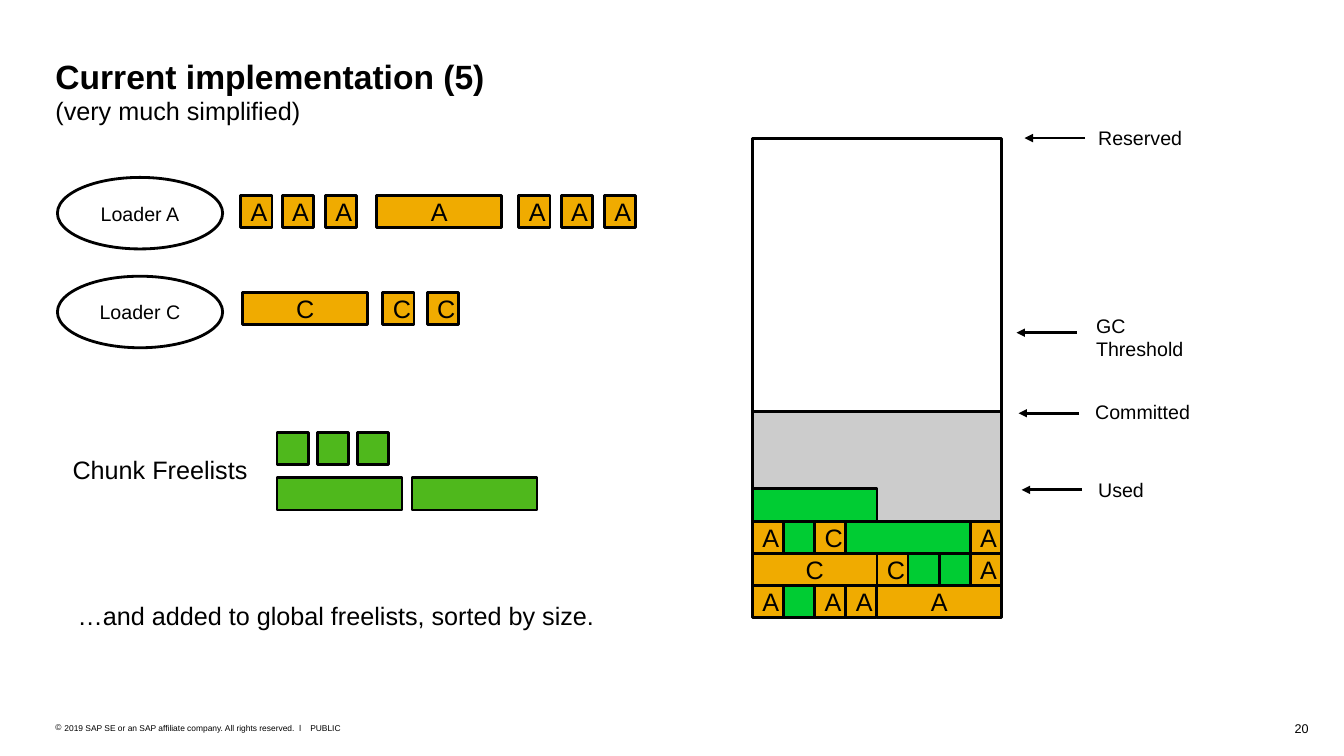
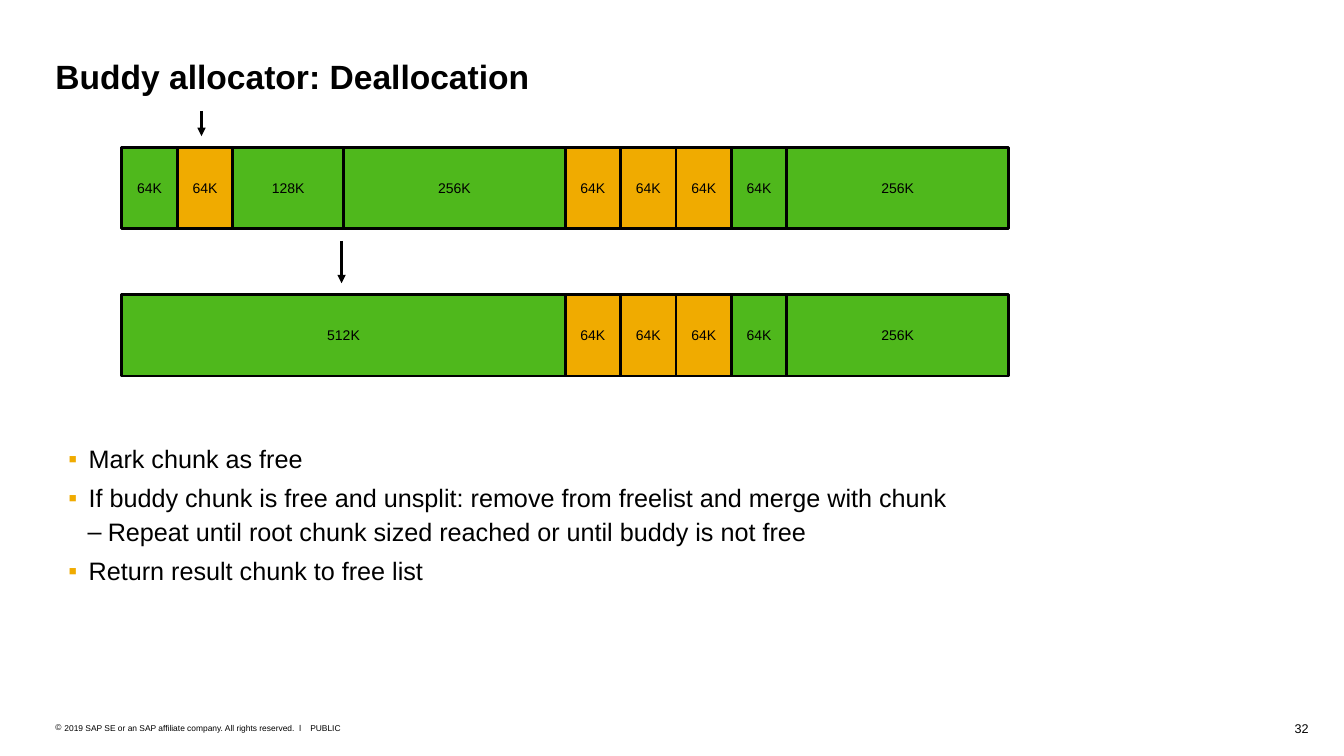
"""Build two slides on metaspace chunk lists and buddy deallocation."""
from dataclasses import dataclass
from typing import Optional

from lxml.etree import SubElement
from pptx import Presentation
from pptx.dml.color import RGBColor
from pptx.enum.shapes import MSO_CONNECTOR, MSO_SHAPE
from pptx.enum.text import MSO_ANCHOR as Anchor, MSO_AUTO_SIZE as AutoSize, PP_ALIGN as Align
from pptx.oxml.ns import qn
from pptx.slide import Slide
from pptx.text.text import TextFrame, _Paragraph as Paragraph
from pptx.util import Inches, Pt

BLACK = RGBColor(0x00, 0x00, 0x00)
AMBER = RGBColor(0xF0, 0xAB, 0x00)
GREEN = RGBColor(0x4F, 0xB8, 0x1C)
BRIGHT_GREEN = RGBColor(0x00, 0xCC, 0x33)
GREY = RGBColor(0xCC, 0xCC, 0xCC)
FONT = "Arial"
LINE_WIDTH = Pt(2)
MARGIN = 0.55
CHUNK_HEIGHT = 0.32
CHUNK_UNIT = 0.31
HEAP_LEFT, HEAP_TOP, HEAP_WIDTH, HEAP_BOTTOM = 7.47, 1.37, 2.47, 6.12
HEAP_UNITS = 8
COMMITTED_TOP, USED_TOP = 4.08, 4.85
BUDDY_LEFT, BUDDY_HEIGHT, BUDDY_UNIT, BUDDY_UNIT_SIZE = 1.21, 0.81, 0.55, 64


@dataclass(frozen=True)
class Box:
    """Position and size in inches."""
    left: float
    top: float
    width: float
    height: float


@dataclass(frozen=True)
class Chunk:
    """Memory chunk with its owner (blank when free) and size in units."""
    owner: str = ""
    units: int = 1


@dataclass(frozen=True)
class ListedChunk:
    """Chunk drawn in a loader list or freelist."""
    left: float
    top: float
    chunk: Chunk


@dataclass(frozen=True)
class Marker:
    """Labelled arrow pointing at a heap level."""
    text: str
    arrow_tip: float
    level: float
    label_left: float
    label_top: float


@dataclass(frozen=True)
class Buddy:
    """Buddy block with its size in kilobytes."""
    kilobytes: int
    free: bool


@dataclass(frozen=True)
class Bullet:
    """Bullet sign with its colour and text indent in inches."""
    sign: str
    color: RGBColor
    indent: float
    hanging: float
    space: float = 0


@dataclass(frozen=True)
class Point:
    """Bulleted statement."""
    text: str
    bullet: Bullet


COPYRIGHT_SIGN = Bullet("©", BLACK, 0.09, 0.09)
MAIN = Bullet("▪", AMBER, 0.2, 0.2, 6)
SUB = Bullet("–", BLACK, 0.39, 0.2, 3)

LOADERS = {"Loader A": 1.76, "Loader C": 2.74}
LISTED_CHUNKS = (
    *(ListedChunk(left, 1.94, Chunk("A")) for left in (2.39, 2.8, 3.23, 5.15, 5.57, 6)),
    ListedChunk(3.74, 1.94, Chunk("A", 4)),
    ListedChunk(2.41, 2.9, Chunk("C", 4)),
    *(ListedChunk(left, 2.9, Chunk("C")) for left in (3.8, 4.24)),
    *(ListedChunk(left, 4.29, Chunk()) for left in (2.75, 3.15, 3.55)),
    *(ListedChunk(left, 4.74, Chunk(units=4)) for left in (2.75, 4.09)),
)
HEAP_ROWS = (
    (Chunk(units=4),),
    (Chunk("A"), Chunk(), Chunk("C"), Chunk(units=4), Chunk("A")),
    (Chunk("C", 4), Chunk("C"), Chunk(), Chunk(), Chunk("A")),
    (Chunk("A"), Chunk(), Chunk("A"), Chunk("A"), Chunk("A", 4)),
)
MARKERS = (
    Marker("Reserved", 10.17, 1.37, 10.9, 1.25),
    Marker("GC Threshold", 10.09, 3.3, 10.88, 3.11),
    Marker("Committed", 10.11, 4.1, 10.87, 3.97),
    Marker("Used", 10.14, 4.86, 10.9, 4.74),
)
UNCHANGED_BUDDIES = (
    *(Buddy(64, False) for _ in range(3)), Buddy(64, True), Buddy(256, True),
)
BUDDY_ROWS = {
    1.46: (Buddy(64, True), Buddy(64, False), Buddy(128, True), Buddy(256, True),
           *UNCHANGED_BUDDIES),
    2.92: (Buddy(512, True), *UNCHANGED_BUDDIES),
}
POINTS = (
    Point("Mark chunk as free", MAIN),
    Point("If buddy chunk is free and unsplit: remove from freelist and merge with chunk", MAIN),
    Point("Repeat until root chunk sized reached or until buddy is not free", SUB),
    Point("Return result chunk to free list", MAIN),
)


def add_run(paragraph: Paragraph, text: str, size: float, bold: bool = False) -> None:
    """Append a formatted run."""
    run = paragraph.add_run()
    run.text = text
    run.font.name = FONT
    run.font.size = Pt(size)
    run.font.bold = bold
    run.font.color.rgb = BLACK


def set_bullet(paragraph: Paragraph, bullet: Bullet) -> None:
    """Give a paragraph a hanging bullet."""
    properties = paragraph._p.get_or_add_pPr()
    properties.set("marL", str(Inches(bullet.indent)))
    properties.set("indent", str(-Inches(bullet.hanging)))
    color = SubElement(properties, qn("a:buClr"))
    SubElement(color, qn("a:srgbClr"), val=str(bullet.color))
    SubElement(properties, qn("a:buFont"), typeface=FONT)
    SubElement(properties, qn("a:buChar"), char=bullet.sign)


def clear_margins(frame: TextFrame) -> None:
    """Remove insets and wrap text from the top."""
    frame.margin_left = frame.margin_right = frame.margin_top = frame.margin_bottom = 0
    frame.word_wrap = True
    frame.auto_size = AutoSize.NONE
    frame.vertical_anchor = Anchor.TOP


def add_frame(slide: Slide, box: Box) -> TextFrame:
    """Add an empty text box without insets."""
    frame = slide.shapes.add_textbox(
        Inches(box.left), Inches(box.top), Inches(box.width), Inches(box.height)).text_frame
    clear_margins(frame)
    return frame


def add_label(slide: Slide, box: Box, text: str, size: float,
              align: Align = Align.LEFT, bullet: Optional[Bullet] = None) -> None:
    """Add a one-paragraph text box."""
    paragraph = add_frame(slide, box).paragraphs[0]
    paragraph.alignment = align
    if bullet:
        set_bullet(paragraph, bullet)
    add_run(paragraph, text, size)


def add_block(slide: Slide, box: Box, fill: Optional[RGBColor] = None, text: str = "",
              size: float = 18, outline: MSO_SHAPE = MSO_SHAPE.RECTANGLE) -> None:
    """Add an outlined shape with optional fill and centred text."""
    block = slide.shapes.add_shape(
        outline, Inches(box.left), Inches(box.top), Inches(box.width), Inches(box.height))
    block.shadow.inherit = False
    block.line.color.rgb = BLACK
    block.line.width = LINE_WIDTH
    if fill is None:
        block.fill.background()
    else:
        block.fill.solid()
        block.fill.fore_color.rgb = fill
    if text:
        frame = block.text_frame
        frame.margin_left = frame.margin_right = Inches(0.1)
        frame.margin_top = frame.margin_bottom = Inches(0.08)
        frame.vertical_anchor = Anchor.MIDDLE
        frame.paragraphs[0].alignment = Align.CENTER
        add_run(frame.paragraphs[0], text, size)


def add_arrow(slide: Slide, start: tuple[float, float], end: tuple[float, float]) -> None:
    """Add a straight arrow."""
    arrow = slide.shapes.add_connector(
        MSO_CONNECTOR.STRAIGHT, *(Inches(value) for value in (*start, *end)))
    arrow.line.color.rgb = BLACK
    arrow.line.width = LINE_WIDTH
    properties = arrow.element.spPr
    SubElement(properties.find(qn("a:ln")), qn("a:tailEnd"), type="triangle")
    SubElement(properties, qn("a:effectLst"))


def add_base(deck: Presentation, title: str, number: int, subtitle: str = "") -> Slide:
    """Add a slide with its title and footer."""
    slide = deck.slides.add_slide(deck.slide_layouts[5])
    heading = slide.shapes.title
    heading.left, heading.top = Inches(MARGIN), Inches(MARGIN)
    heading.width, heading.height = Inches(12.23), Inches(0.71 if subtitle else 0.4)
    clear_margins(heading.text_frame)
    paragraph = heading.text_frame.paragraphs[0]
    paragraph.alignment = Align.LEFT
    add_run(paragraph, title, 24, True)
    if subtitle:
        paragraph.add_line_break()
        add_run(paragraph, subtitle, 18)
    add_label(slide, Box(MARGIN, 7.17, 2.5, 0.1),
              "2019 SAP SE or an SAP affiliate company. All rights reserved.  ǀ", 6,
              bullet=COPYRIGHT_SIGN)
    add_label(slide, Box(3.08, 7.17, 0.4, 0.1), "PUBLIC", 6)
    add_label(slide, Box(12.42, 7.15, 0.57, 0.15), str(number), 9, Align.RIGHT)
    return slide


def add_heap(slide: Slide) -> None:
    """Draw the reserved space, its committed part and the chunk rows."""
    for top, fill in ((HEAP_TOP, None), (COMMITTED_TOP, GREY)):
        add_block(slide, Box(HEAP_LEFT, top, HEAP_WIDTH, HEAP_BOTTOM - top), fill)
    unit = HEAP_WIDTH / HEAP_UNITS
    for row, chunks in enumerate(HEAP_ROWS):
        left = HEAP_LEFT
        for chunk in chunks:
            width = chunk.units * unit
            add_block(slide, Box(left, USED_TOP + row * CHUNK_HEIGHT, width, CHUNK_HEIGHT),
                      AMBER if chunk.owner else BRIGHT_GREEN, chunk.owner)
            left += width


def build_implementation(deck: Presentation) -> None:
    """Build the slide on loaders, freelists and the heap."""
    slide = add_base(deck, "Current implementation (5)", 20, "(very much simplified)")
    for loader, top in LOADERS.items():
        add_block(slide, Box(0.57, top, 1.64, 0.71), None, loader, 14, MSO_SHAPE.OVAL)
    for item in LISTED_CHUNKS:
        chunk = item.chunk
        add_block(slide, Box(item.left, item.top, chunk.units * CHUNK_UNIT, CHUNK_HEIGHT),
                  AMBER if chunk.owner else GREEN, chunk.owner)
    add_label(slide, Box(0.72, 4.51, 1.82, 0.3), "Chunk Freelists", 18)
    add_label(slide, Box(0.77, 5.96, 6.08, 0.3),
              "…and added to global freelists, sorted by size.", 18)
    add_heap(slide)
    for marker in MARKERS:
        add_arrow(slide, (marker.arrow_tip + 0.6, marker.level), (marker.arrow_tip, marker.level))
        add_label(slide, Box(marker.label_left, marker.label_top, 1, 0.23), marker.text, 14)


def build_deallocation(deck: Presentation) -> None:
    """Build the slide on merging buddies."""
    slide = add_base(deck, "Buddy allocator: Deallocation", 32)
    for top, buddies in BUDDY_ROWS.items():
        left = BUDDY_LEFT
        for buddy in buddies:
            width = buddy.kilobytes / BUDDY_UNIT_SIZE * BUDDY_UNIT
            add_block(slide, Box(left, top, width, BUDDY_HEIGHT),
                      GREEN if buddy.free else AMBER, f"{buddy.kilobytes}K", 10)
            left += width
    add_arrow(slide, (2, 1.1), (2, 1.35))
    add_arrow(slide, (3.39, 2.39), (3.39, 2.81))
    frame = add_frame(slide, Box(0.68, 4.4, 12.23, 1.99))
    for index, point in enumerate(POINTS):
        paragraph = frame.add_paragraph() if index else frame.paragraphs[0]
        set_bullet(paragraph, point.bullet)
        paragraph.space_before = Pt(point.bullet.space if index else 0)
        add_run(paragraph, point.text, 18)


def main() -> None:
    """Build and save the deck."""
    deck = Presentation()
    deck.slide_width, deck.slide_height = Inches(13.34), Inches(7.5)
    build_implementation(deck)
    build_deallocation(deck)
    deck.save("out.pptx")


if __name__ == "__main__":
    main()
